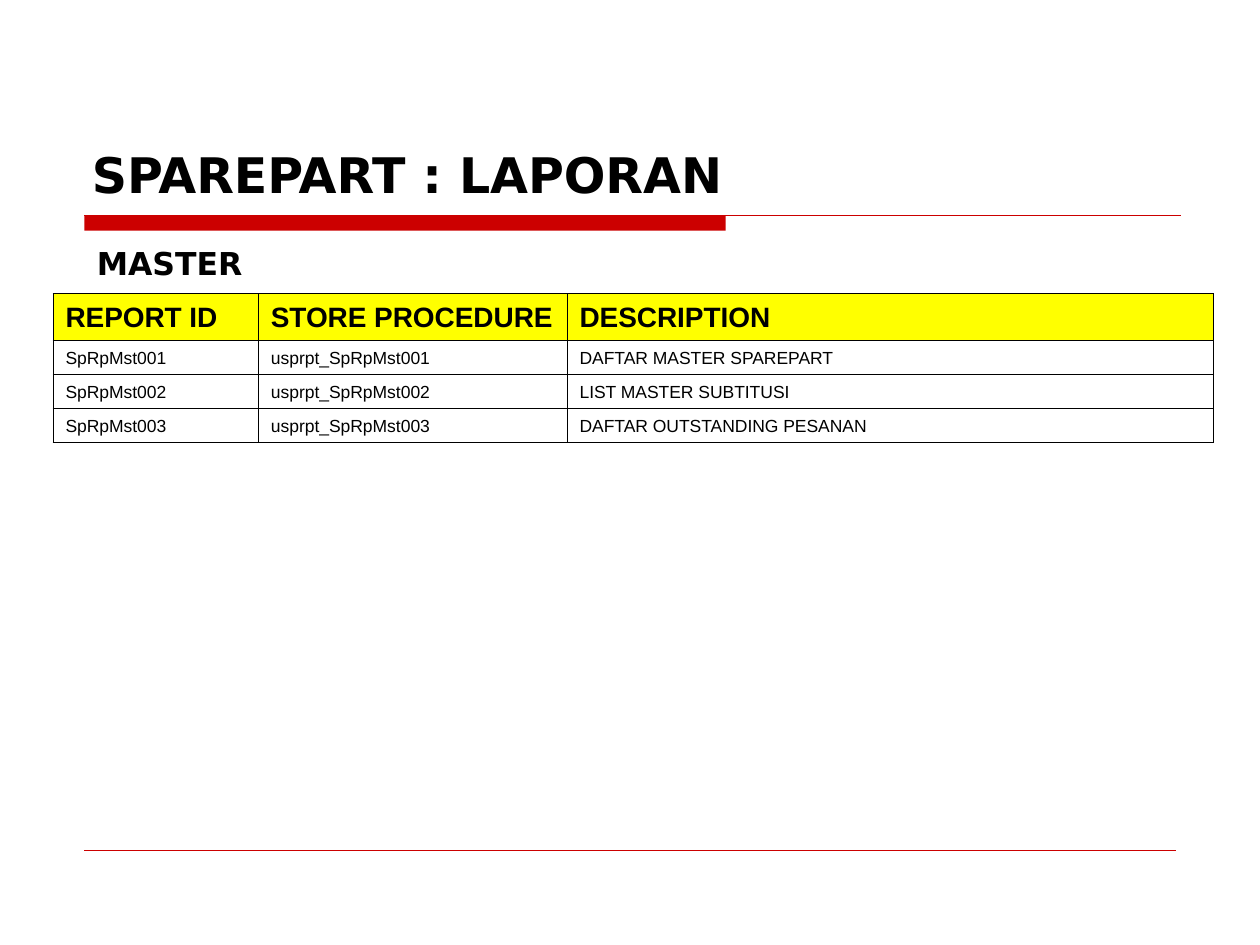
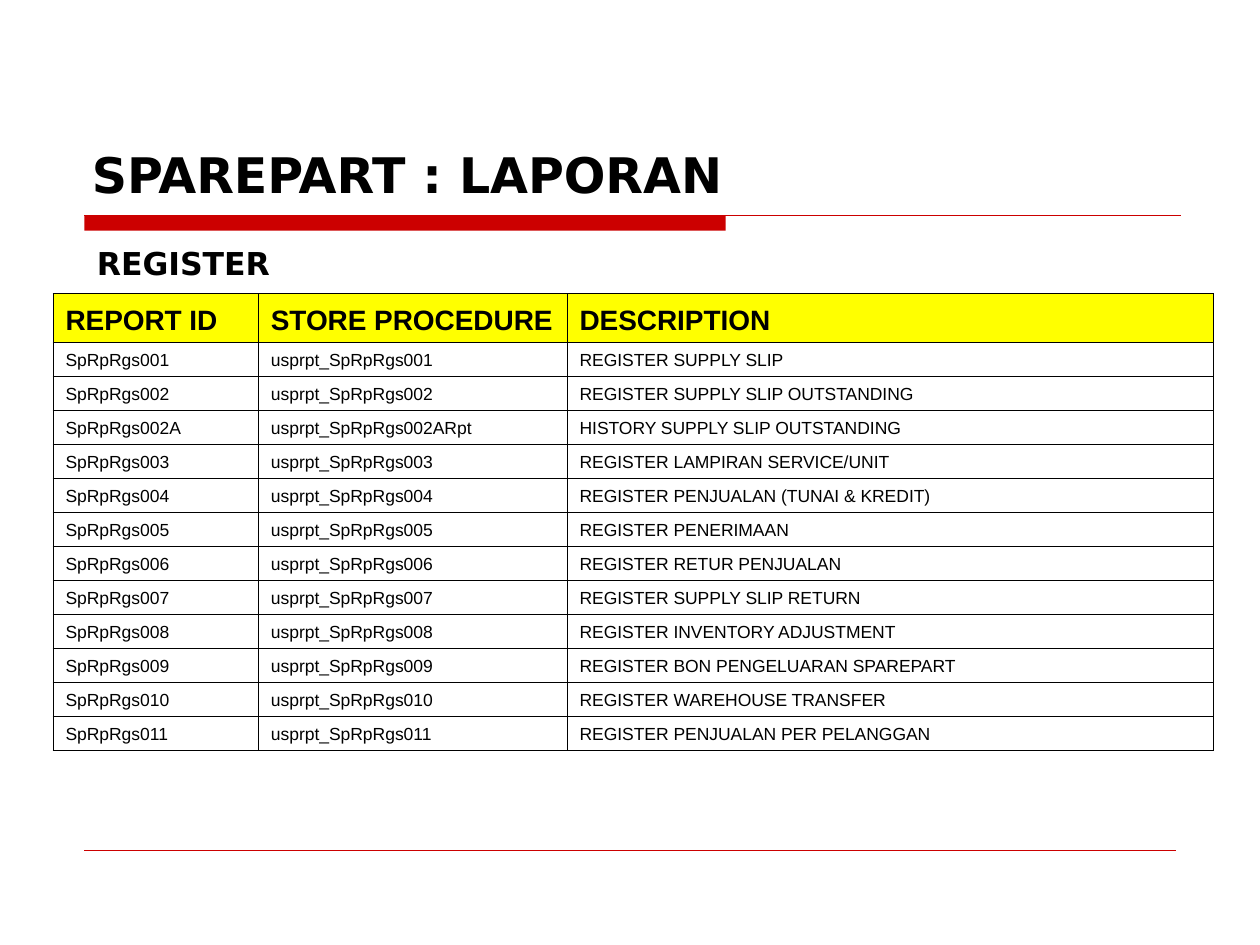
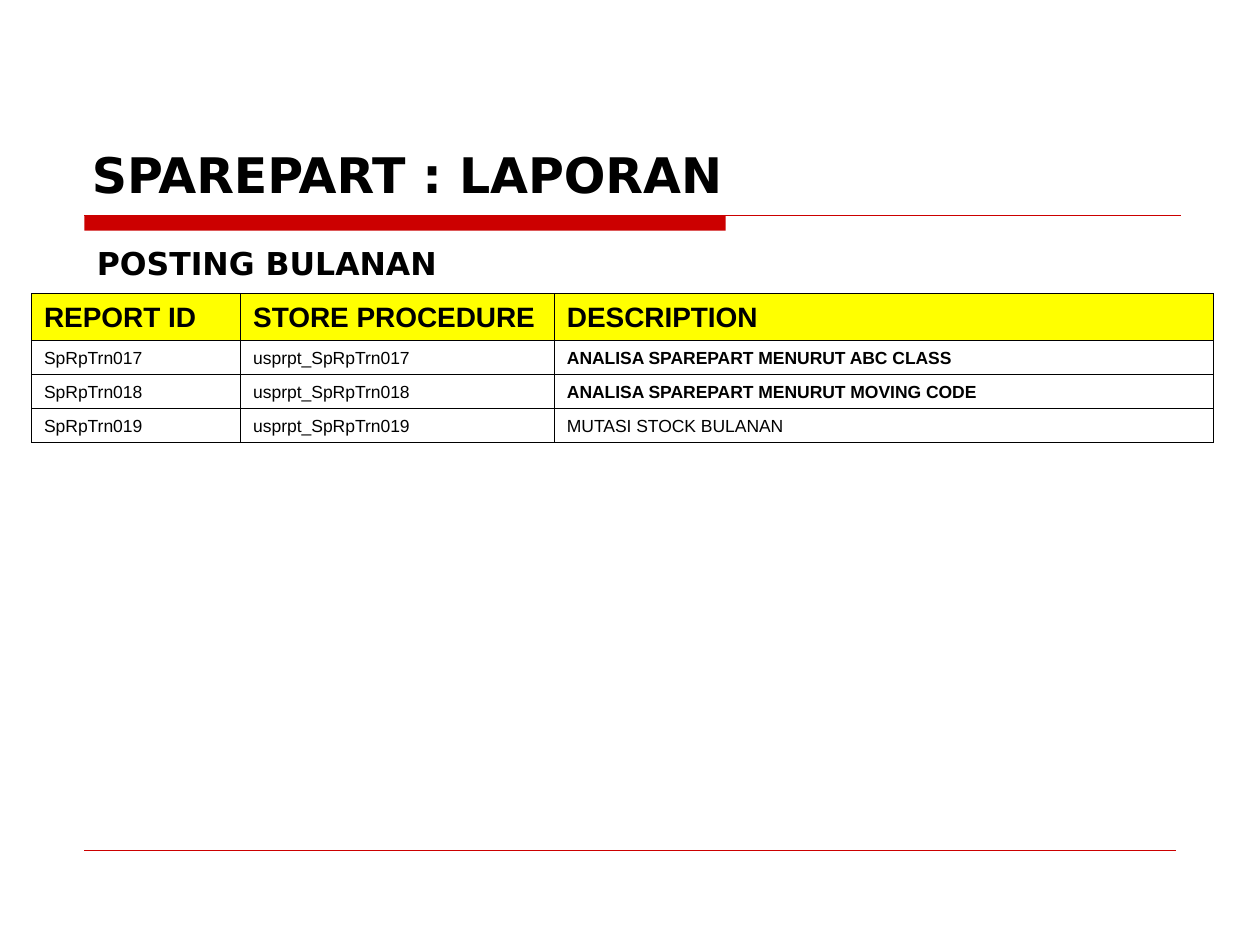
from lxml import etree
from pptx import Presentation
from pptx.dml.color import RGBColor
from pptx.enum.shapes import MSO_CONNECTOR, MSO_SHAPE
from pptx.enum.text import MSO_ANCHOR
from pptx.oxml import parse_xml
from pptx.oxml.ns import nsdecls, qn
from pptx.util import Inches, Pt

RED = RGBColor(0xCC, 0x00, 0x00)
BLACK = RGBColor(0x00, 0x00, 0x00)
YELLOW = RGBColor(0xFF, 0xFF, 0x00)
BAR = MSO_SHAPE.RECTANGLE
LINE = MSO_CONNECTOR.STRAIGHT
TOP = MSO_ANCHOR.TOP
LOW = MSO_ANCHOR.BOTTOM

TITLE = "SPAREPART : LAPORAN"
HEADS = ("REPORT ID", "STORE PROCEDURE", "DESCRIPTION")
ROW = 0.27
COLS = (1.63, 2.45, 5.13)
WIDE = (1.66, 2.49, 5.23)

MASTER = (
    ("001", "DAFTAR MASTER SPAREPART"),
    ("002", "LIST MASTER SUBTITUSI"),
    ("003", "DAFTAR OUTSTANDING PESANAN"),
)
REGISTER = (
    ("001", "REGISTER SUPPLY SLIP"),
    ("002", "REGISTER SUPPLY SLIP OUTSTANDING"),
    ("002A", "HISTORY SUPPLY SLIP OUTSTANDING"),
    ("003", "REGISTER LAMPIRAN SERVICE/UNIT"),
    ("004", "REGISTER PENJUALAN (TUNAI & KREDIT)"),
    ("005", "REGISTER PENERIMAAN"),
    ("006", "REGISTER RETUR PENJUALAN"),
    ("007", "REGISTER SUPPLY SLIP RETURN"),
    ("008", "REGISTER INVENTORY ADJUSTMENT"),
    ("009", "REGISTER BON PENGELUARAN SPAREPART"),
    ("010", "REGISTER WAREHOUSE TRANSFER"),
    ("011", "REGISTER PENJUALAN PER PELANGGAN"),
)
POSTING = (
    ("017", "ANALISA SPAREPART MENURUT ABC CLASS"),
    ("018", "ANALISA SPAREPART MENURUT MOVING CODE"),
    ("019", "MUTASI STOCK BULANAN"),
)


def write(frame, text, size=10, bold=False, face="Arial", color=BLACK):
    """Put formatted text in the first paragraph of a frame."""
    run = frame.paragraphs[0].add_run()
    run.text = text
    font = run.font
    font.size, font.bold, font.name = Pt(size), bold, face
    font.color.rgb = color


def edge(cell):
    """Draw a thin black border on every side of a cell."""
    props = cell._tc.get_or_add_tcPr()
    for spot, side in enumerate(("lnL", "lnR", "lnT", "lnB")):
        props.insert(spot, parse_xml(
            f'<a:{side} {nsdecls("a")} w="{Pt(0.45)}"><a:solidFill>'
            f'<a:srgbClr val="{BLACK}"/></a:solidFill></a:{side}>'))


def expand(group, items):
    """Turn short codes into rows of report, procedure and description."""
    for code, about in items:
        name = f"SpRp{group}{code}"
        tail = "Rpt" if code.endswith("A") else ""
        yield name, f"usprpt_{name}{tail}", about


class Deck:
    """Holds the shared style and the current slide."""

    def __init__(self):
        """Start an empty deck."""
        self.show = Presentation()
        self.show.slide_width = Inches(10)
        self.show.slide_height = Inches(7.5)
        self.slide = None

    def page(self, head):
        """Add a slide with its title, rules and heading."""
        self.slide = self.show.slides.add_slide(self.show.slide_layouts[6])
        self.bar(0.67, 1.71, 5.09, 0.12)
        self.rule(0.67, 9.37, 1.71, 0.75)
        self.rule(0.67, 9.33, 6.75, 0.25)
        self.label(TITLE, 0.63, 0.33, 8.75, 1.33, 28, LOW)
        self.label(head, 0.67, 1.89, 3.83, 0.4, 18, TOP)

    def bar(self, left, top, width, height):
        """Add a solid red bar."""
        shape = self.slide.shapes.add_shape(
            BAR, Inches(left), Inches(top), Inches(width), Inches(height))
        shape.shadow.inherit = False
        shape.fill.solid()
        shape.fill.fore_color.rgb = RED
        shape.line.fill.background()

    def rule(self, left, right, top, weight):
        """Add a level red line."""
        line = self.slide.shapes.add_connector(
            LINE, Inches(left), Inches(top), Inches(right), Inches(top))
        line.line.color.rgb = RED
        line.line.width = Pt(weight)
        etree.SubElement(line._element.spPr, qn("a:effectLst"))

    def label(self, text, left, top, width, height, size, anchor):
        """Add a bold text box."""
        box = self.slide.shapes.add_textbox(
            Inches(left), Inches(top), Inches(width), Inches(height))
        frame = box.text_frame
        frame.word_wrap = True
        frame.vertical_anchor = anchor
        write(frame, text, size=size, bold=True, face="DejaVu Sans")

    def table(self, rows, left=0.42, cols=COLS, first=0.37, strong=()):
        """Add a report table; strong lists the rows with bold descriptions."""
        grid = [HEADS, *rows]
        highs = [first] + [ROW] * (len(grid) - 1)
        table = self.slide.shapes.add_table(
            len(grid), len(cols), Inches(left), Inches(2.33),
            Inches(sum(cols)), Inches(sum(highs))).table
        table.first_row = table.horz_banding = False
        for col, width in zip(table.columns, cols):
            col.width = Inches(width)
        for r, (line, high) in enumerate(zip(grid, highs)):
            table.rows[r].height = Inches(high)
            for c, text in enumerate(line):
                self.cell(table.cell(r, c), text, r == 0,
                          r in strong and c == 2)

    def cell(self, cell, text, head, bold):
        """Fill one table cell."""
        cell.vertical_anchor = LOW
        if head:
            cell.fill.solid()
            cell.fill.fore_color.rgb = YELLOW
        else:
            cell.fill.background()
        edge(cell)
        write(cell.text_frame, text, size=16 if head else 10,
              bold=head or bold)


def main():
    """Build and save the three report slides."""
    deck = Deck()
    deck.page("MASTER")
    deck.table(expand("Mst", MASTER))
    deck.page("REGISTER")
    deck.table(expand("Rgs", REGISTER), first=0.39)
    deck.page("POSTING BULANAN")
    deck.table(expand("Trn", POSTING), left=0.25, cols=WIDE, strong=(1, 2))
    deck.show.save("out.pptx")


if __name__ == "__main__":
    main()
